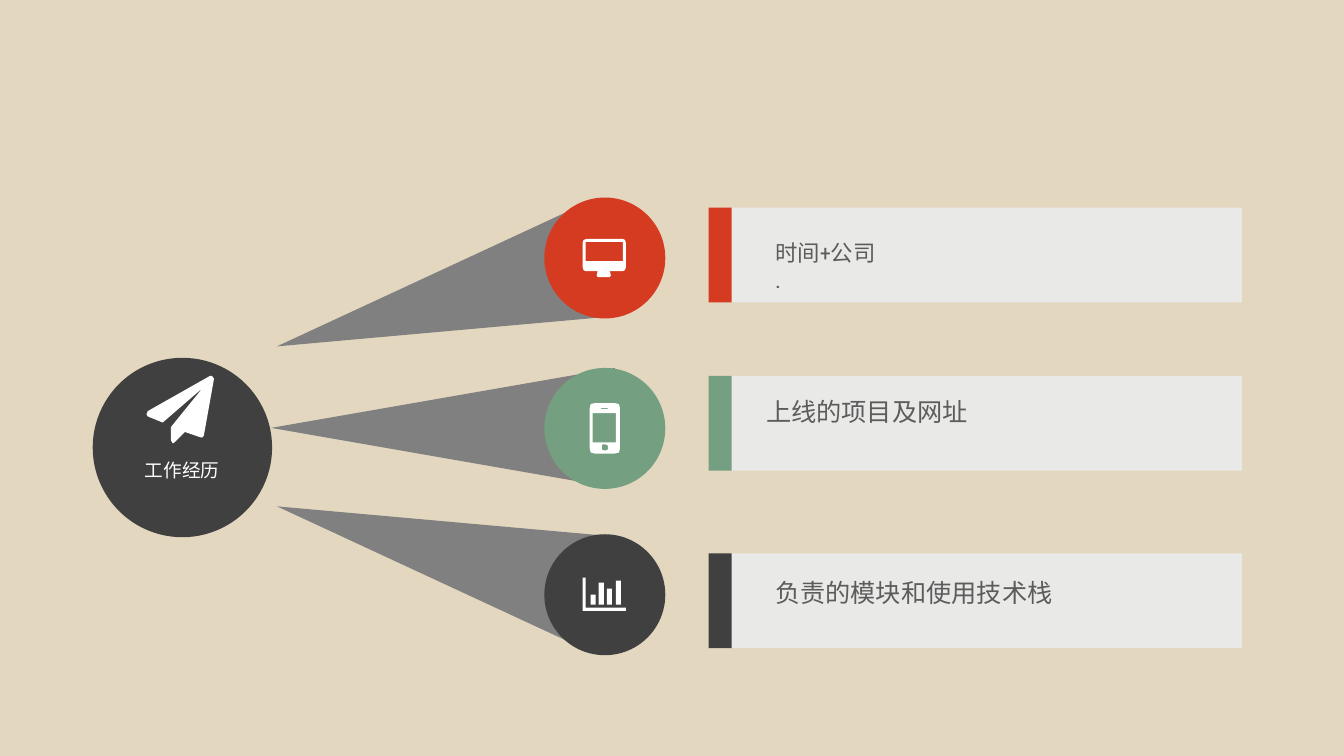
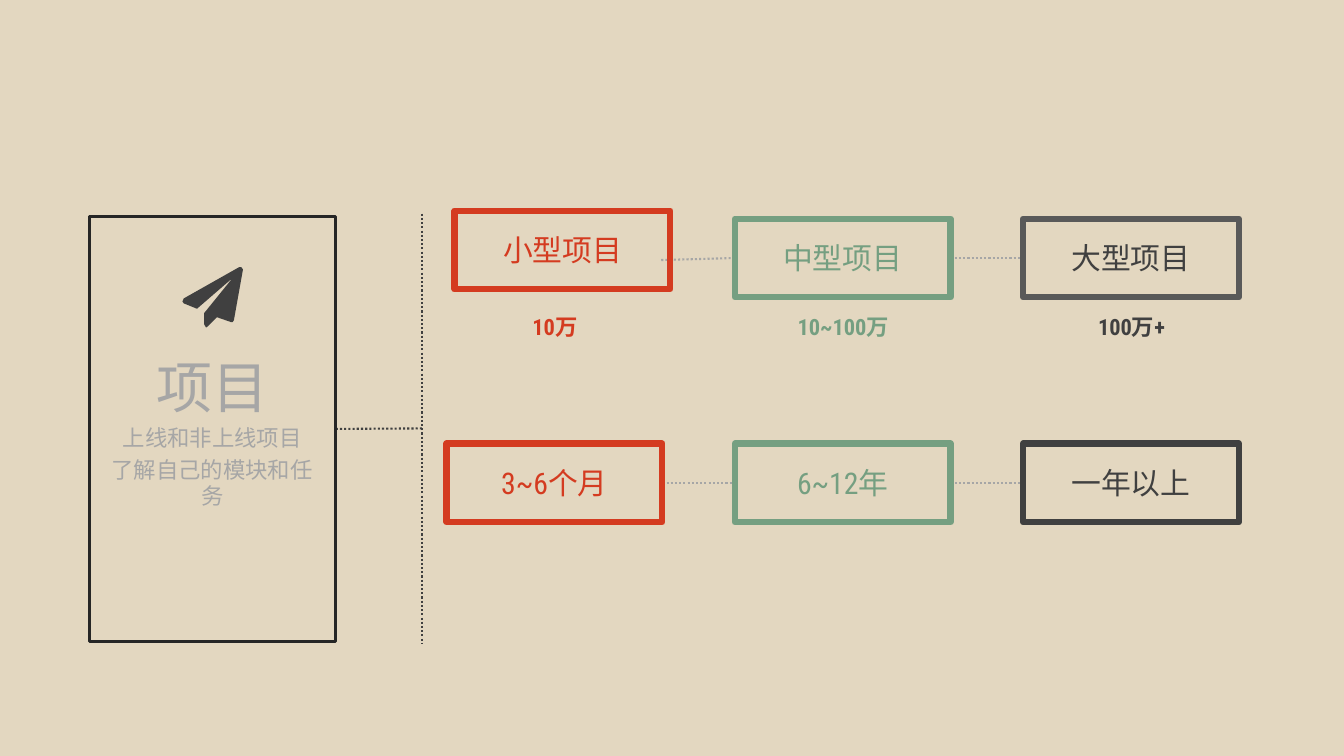
"""Build two slides on work experience and project scale."""
from math import cos, pi, sin

from pptx import Presentation
from pptx.dml.color import RGBColor
from pptx.enum.dml import MSO_LINE
from pptx.enum.shapes import MSO_CONNECTOR, MSO_SHAPE as SHAPE
from pptx.enum.text import MSO_ANCHOR as ANCHOR, PP_ALIGN as ALIGN
from pptx.oxml.ns import qn
from pptx.util import Inches, Pt
from lxml.etree import SubElement

SAND = RGBColor(0xE3, 0xD7, 0xC0)
RED = RGBColor(0xD4, 0x3B, 0x20)
GREEN = RGBColor(0x75, 0x9F, 0x81)
DARK = RGBColor(0x40, 0x40, 0x40)
BLACK = RGBColor(0x26, 0x26, 0x26)
SLATE = RGBColor(0x59, 0x59, 0x59)
TEXT = RGBColor(0x5C, 0x5C, 0x5C)
GRAY = RGBColor(0x80, 0x80, 0x80)
SILVER = RGBColor(0xA6, 0xA6, 0xA6)
MIST = RGBColor(0xEB, 0xEE, 0xF2)
WHITE = RGBColor(0xFF, 0xFF, 0xFF)
FONT = "Roboto Condensed"

presentation = Presentation()
presentation.slide_width = Inches(13.33)
presentation.slide_height = Inches(7.5)
COLUMN = presentation.slide_width / 100
ROW = presentation.slide_height / 100
presentation.slide_master.background.fill.solid()
presentation.slide_master.background.fill.fore_color.rgb = SAND
blank = presentation.slide_layouts[6]


def add_item(slide, preset, frame, fill=None, line=None, weight=0, text="",
             sizes=(16,), color=TEXT, align=ALIGN.CENTER, bold=False, inset=None):
    left, top, width, height = frame
    box = (round(left * COLUMN), round(top * ROW), round(width * COLUMN), round(height * ROW))
    if preset is None:
        shape = slide.shapes.add_textbox(*box)
    else:
        shape = slide.shapes.add_shape(preset, *box)
        shape.shadow.inherit = False
        shape.text_frame.vertical_anchor = ANCHOR.MIDDLE
    if fill is None:
        shape.fill.background()
    else:
        shape.fill.solid()
        shape.fill.fore_color.rgb = fill
    if line is None:
        shape.line.fill.background()
    else:
        shape.line.color.rgb = line
        shape.line.width = Pt(weight)
    if text:
        text_frame = shape.text_frame
        text_frame.word_wrap = True
        if inset is not None:
            text_frame.margin_left = text_frame.margin_right = inset
            text_frame.margin_top = text_frame.margin_bottom = inset
        text_frame.text = text
        for index, paragraph in enumerate(text_frame.paragraphs):
            paragraph.alignment = align
            if index:
                paragraph.space_before = Pt(3.2)
            for run in paragraph.runs:
                run.font.name = FONT
                run.font.size = Pt(sizes[min(index, len(sizes) - 1)])
                run.font.color.rgb = color
                run.font.bold = bold
    return shape


def add_icon(slide, left, top, size, contours, color):
    builder = slide.shapes.build_freeform(*contours[0][0], scale=Inches(size) / 100)
    for index, contour in enumerate(contours):
        if index:
            builder.move_to(*contour[0])
        builder.add_line_segments(contour[1:], close=True)
    icon = builder.convert_to_shape(round(left * COLUMN), round(top * ROW))
    icon.shadow.inherit = False
    icon.fill.solid()
    icon.fill.fore_color.rgb = color
    icon.line.fill.background()


PLANE = [[(100, 4), (85, 88), (83, 91), (80, 91), (57, 83), (42, 98), (39, 100),
          (36, 95), (36, 76), (83, 18), (24, 69), (2, 60), (0, 57), (2, 52),
          (94, 0), (97, 0)]]
MONITOR = [[(0, 4), (1, 1), (4, 0), (40, 0), (42, 1), (43, 4), (43, 28), (42, 31),
            (40, 32), (27, 32), (28, 36), (27, 38), (15, 38), (14, 36), (15, 32),
            (3, 32), (1, 31), (0, 28)],
           [(3, 3), (40, 3), (40, 22), (3, 22)]]
PHONE = [[(0, 5), (1, 1), (5, 0), (25, 0), (29, 1), (30, 5), (30, 45), (29, 49),
          (25, 50), (5, 50), (1, 49), (0, 45)],
         [(3, 10), (26, 10), (26, 39), (3, 39)],
         [(11, 5), (18, 5), (18, 6), (11, 6)],
         [(15 + 3 * cos(k * pi / 6), 44 + 3 * sin(k * pi / 6)) for k in range(12)]]
CHART = [[(0, 0), (3, 0), (3, 30), (43, 30), (43, 33), (0, 33)]]
CHART += [[(x, 27), (x, top), (x + 5, top), (x + 5, 27)]
          for x, top in ((8, 17), (16, 5), (24, 11), (33, 3))]

slide = presentation.slides.add_slide(blank)
branches = [
    (RED, 17.2, 75, 26.13, MONITOR, 43.35, 31.6),
    (GREEN, 33.87, 90, 48.67, PHONE, 43.88, 53.33),
    (DARK, 50.13, 105, 70.67, CHART, 43.35, 76.4),
]
for color, cone_top, angle, disc_top, icon, icon_left, icon_top in branches:
    cone = add_item(slide, SHAPE.FLOWCHART_MERGE, (28.5, cone_top, 8.92, 45.47), GRAY)
    cone.rotation = angle
    add_item(slide, SHAPE.OVAL, (40.5, disc_top, 9, 16), color)
    add_icon(slide, icon_left, icon_top, 1, icon, WHITE)

add_item(slide, SHAPE.OVAL, (6.9, 47.33, 13.35, 23.73), DARK)
add_icon(slide, 10.9, 49.73, 0.67, PLANE, WHITE)
add_item(slide, None, (8.03, 60.67, 11.03, 2.93), text="工作经历", sizes=(13.3,),
         color=WHITE, inset=0)

panels = [
    (RED, 27.47, 57.68, 31.6, 16, "时间+公司\v."),
    (GREEN, 49.73, 57, 52.4, 18, "上线的项目及网址"),
    (DARK, 73.2, 57.68, 76.4, 18, "负责的模块和使用技术栈"),
]
for color, top, text_left, text_top, size, text in panels:
    panel = add_item(slide, SHAPE.RECTANGLE, (54.38, top, 38.03, 12.53), MIST)
    tint = panel.fill._xPr.find(qn("a:solidFill"))[0]
    SubElement(tint, qn("a:alpha")).set("val", "80000")
    add_item(slide, SHAPE.RECTANGLE, (52.73, top, 1.72, 12.53), color)
    add_item(slide, None, (text_left, text_top, 37.05, 8), text=text, sizes=(size,),
             align=ALIGN.LEFT, inset=0)

slide = presentation.slides.add_slide(blank)
FIRST, PITCH = 33.23, 21.45
BOX_WIDTH, BOX_HEIGHT = 16.05, 10.4
lines = [(49.2 + gap * PITCH, y, 54.68 + gap * PITCH, y, SILVER)
         for y in (34.4, 63.87) for gap in range(2)]
lines += [(31.43, 28.27, 31.43, 85.07, DARK), (24.98, 56.67, 31.43, 56.67, DARK)]
connectors = []
for x1, y1, x2, y2, color in lines:
    connector = slide.shapes.add_connector(
        MSO_CONNECTOR.STRAIGHT, round(x1 * COLUMN), round(y1 * ROW),
        round(x2 * COLUMN), round(y2 * ROW))
    connector.line.color.rgb = color
    connector.line.width = Pt(1.5)
    connector.line.dash_style = MSO_LINE.ROUND_DOT
    SubElement(connector._element.spPr, qn("a:effectLst"))
    connectors.append(connector)

summary = add_item(slide, SHAPE.RECTANGLE, (6.68, 28.67, 18.3, 56.13), line=BLACK, weight=2.25)
connectors[-1].begin_connect(summary, 3)
add_icon(slide, 13.58, 35.33, 0.6, PLANE, DARK)
add_item(slide, None, (7.13, 46, 17.32, 31.2),
         text="项目\n上线和非上线项目\n了解自己的模块和任务", sizes=(40, 16), color=SILVER)

scales = [
    (RED, RED, "小型项目", "10万", "3~6个月"),
    (GREEN, GREEN, "中型项目", "10~100万", "6~12年"),
    (DARK, SLATE, "大型项目", "100万+", "一年以上"),
]
for column, (color, border, name, amount, duration) in enumerate(scales):
    left = FIRST + column * PITCH
    name_left, name_top = (left, 28.93) if column else (33.83, 27.87)
    boxes = [(name_left, name_top, border, name), (left, 58.67, color, duration)]
    for row, (box_left, box_top, line, text) in enumerate(boxes):
        box = add_item(slide, SHAPE.RECTANGLE, (box_left, box_top, BOX_WIDTH, BOX_HEIGHT),
                       line=line, weight=4.5, text=text, sizes=(21.3,), color=color)
        if column:
            connectors[row * 2 + column - 1].end_connect(box, 1)
        if column == 1 or (column == 0 and row == 1):
            connectors[row * 2 + column].begin_connect(box, 3)
    add_item(slide, None, (left - 0.6, 40.8, 17.32, 4.93), text=amount, color=color, bold=True)

presentation.save("out.pptx")
